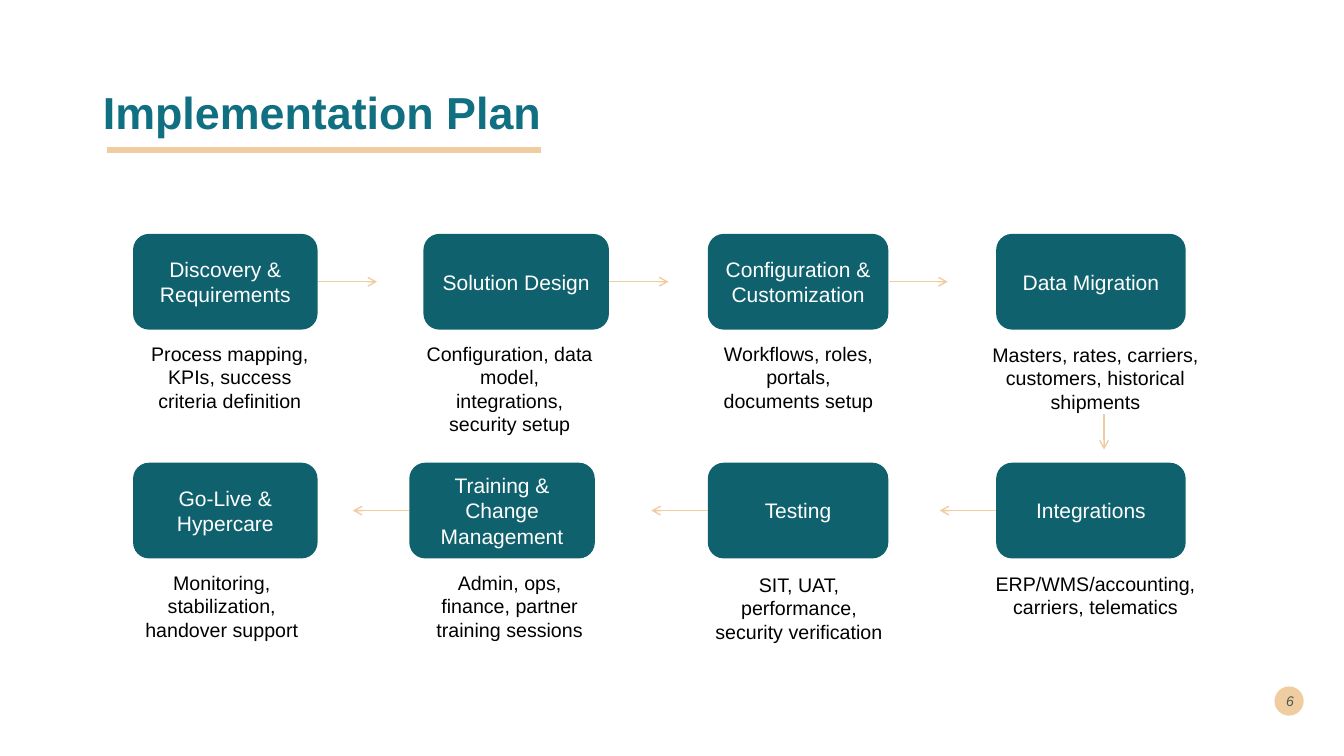
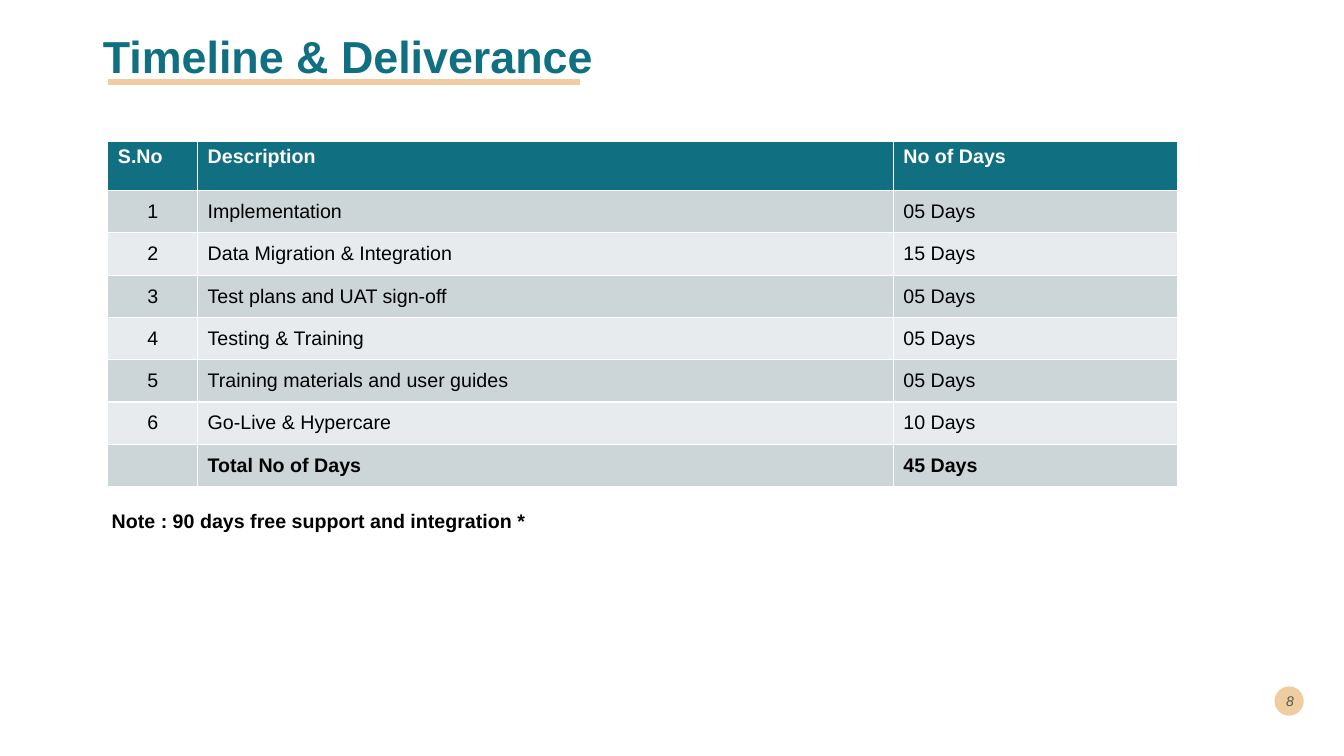
from lxml.etree import SubElement
from pptx import Presentation
from pptx.dml.color import RGBColor
from pptx.enum.shapes import MSO_CONNECTOR as Line, MSO_SHAPE as Shape
from pptx.enum.text import MSO_ANCHOR as Anchor, MSO_AUTO_SIZE as Fit, PP_ALIGN as Align
from pptx.oxml.ns import qn
from pptx.util import Inches, Pt

FONT = "Arial"
TEAL = RGBColor(0x10, 0x70, 0x82)
DEEP = RGBColor(0x0E, 0x61, 0x6D)
SAND = RGBColor(0xF0, 0xCD, 0xA1)
INK = RGBColor(0x00, 0x29, 0x2E)
WHITE = RGBColor(0xFF, 0xFF, 0xFF)
BLACK = RGBColor(0x00, 0x00, 0x00)
BANDS = (RGBColor(0xCC, 0xD5, 0xD8), RGBColor(0xE7, 0xEB, 0xED))

BOX_H = 0.95
RIGHT, LEFT = 3, 1  # connection sites
# Per row: top, side the arrows leave from, arrow length, steps.
# Per step: box left and width, name, caption left, top and width, caption.
ROWS = [
    (2.32, RIGHT, 0.59, [
        (1.32, 1.83, "Discovery & Requirements",
         1.4, 3.34, 1.76, "Process mapping, KPIs, success criteria definition"),
        (4.2, 1.84, "Solution Design",
         4.11, 3.34, 1.89, "Configuration, data model, integrations, security setup"),
        (7.02, 1.79, "Configuration & Customization",
         7.04, 3.34, 1.76, "Workflows, roles, portals, documents setup"),
        (9.88, 1.88, "Data Migration",
         9.72, 3.35, 2.29, "Masters, rates, carriers, customers, historical shipments"),
    ]),
    (4.59, LEFT, -0.56, [
        (9.88, 1.88, "Integrations",
         9.72, 5.62, 2.29, "ERP/WMS/accounting, carriers, telematics"),
        (7.02, 1.79, "Testing",
         6.94, 5.63, 1.97, "SIT, UAT, performance, security verification"),
        (4.06, 1.84, "Training & Change Management",
         4.11, 5.61, 1.89, "Admin, ops, finance, partner training sessions"),
        (1.32, 1.83, "Go-Live & Hypercare",
         1.32, 5.61, 1.76, "Monitoring, stabilization, handover support"),
    ]),
]

HEAD = ("S.No", "Description", "No of Days")
TASKS = [
    ("Implementation", 5),
    ("Data Migration & Integration", 15),
    ("Test plans and UAT sign-off", 5),
    ("Testing & Training", 5),
    ("Training materials and user guides", 5),
    ("Go-Live & Hypercare", 10),
]


def write(frame, text, size, color, bold=False, italic=False, align=Align.LEFT):
    frame.text = text
    for par in frame.paragraphs:
        par.alignment = align
        for run in par.runs:
            font = run.font
            font.name, font.size = FONT, Pt(size)
            font.bold, font.italic = bold, italic
            font.color.rgb = color


def add_text(slide, x, y, w, h, text, size, color, anchor=Anchor.TOP, **style):
    frame = slide.shapes.add_textbox(
        Inches(x), Inches(y), Inches(w), Inches(h)).text_frame
    frame.word_wrap = True
    frame.vertical_anchor = anchor
    write(frame, text, size, color, **style)
    return frame


def add_shape(slide, kind, x, y, w, h, fill):
    shape = slide.shapes.add_shape(kind, Inches(x), Inches(y), Inches(w), Inches(h))
    shape.shadow.inherit = False
    shape.fill.solid()
    shape.fill.fore_color.rgb = fill
    shape.line.fill.background()
    return shape


def add_line(slide, x1, y1, x2, y2, width=1, arrow=False):
    line = slide.shapes.add_connector(
        Line.STRAIGHT, Inches(x1), Inches(y1), Inches(x2), Inches(y2))
    line.line.color.rgb = SAND
    line.line.width = Pt(width)
    if arrow:
        SubElement(line.line._get_or_add_ln(), qn("a:tailEnd"), type="arrow")
    SubElement(line._element.spPr, qn("a:effectLst"))
    return line


def add_slide(deck, title, top, height, rule, number):
    """Add a slide with title, underline (x1, x2, y) and page badge."""
    slide = deck.slides.add_slide(deck.slide_layouts[5])
    head = slide.shapes.title
    head.left, head.top = Inches(0.92), Inches(top)
    head.width, head.height = Inches(11.5), Inches(height)
    frame = head.text_frame
    frame.auto_size = Fit.NONE
    frame.vertical_anchor = Anchor.MIDDLE
    write(frame, title, 32, TEAL, bold=True)
    frame.paragraphs[0].line_spacing = 0.9

    x1, x2, y = rule
    add_line(slide, x1, y, x2, y, 4.32)

    add_shape(slide, Shape.OVAL, 12.64, 6.81, 0.29, 0.29, SAND)
    badge = add_text(slide, 12.6, 6.75, 0.39, 0.4, str(number), 10, INK,
                     Anchor.MIDDLE, italic=True, align=Align.CENTER)
    for color in badge._txBody.iter(qn("a:srgbClr")):
        SubElement(color, qn("a:alpha"), val="70000")
    return slide


def add_step(slide, top, step):
    """Draw a step box with its caption and return the box."""
    x, w, name, cap_x, cap_y, cap_w, cap = step
    box = add_shape(slide, Shape.ROUNDED_RECTANGLE, x, top, w, BOX_H, DEEP)
    box.text_frame.word_wrap = True
    box.text_frame.vertical_anchor = Anchor.MIDDLE
    write(box.text_frame, name, 15, WHITE, align=Align.CENTER)
    add_text(slide, cap_x, cap_y, cap_w, 0.81, cap, 14, BLACK, align=Align.CENTER)
    return box


def add_plan(deck):
    slide = add_slide(deck, "Implementation Plan", 0.65, 0.98, (1.06, 5.37, 1.49), 6)
    for top, side, reach, steps in ROWS:
        mid = top + BOX_H / 2
        boxes = [add_step(slide, top, step) for step in steps]
        for box, (x, w, *_) in zip(boxes[:-1], steps):
            start = x + w if side == RIGHT else x
            arrow = add_line(slide, start, mid, start + reach, mid, arrow=True)
            arrow.begin_connect(box, side)
    add_line(slide, 10.95, 4.11, 10.95, 4.46, arrow=True)


def add_times(deck):
    slide = add_slide(deck, "Timeline & Deliverance", -0.05, 1.28, (1.07, 5.75, 0.81), 8)
    total = sum(days for _, days in TASKS)
    rows = [HEAD]
    rows += [(str(i), task, f"{days:02} Days") for i, (task, days) in enumerate(TASKS, 1)]
    rows.append(("", "Total No of Days", f"{total} Days"))

    table = slide.shapes.add_table(
        len(rows), len(HEAD), Inches(1.07), Inches(1.4), Inches(10.61), Inches(3.43)).table
    for col, width in zip(table.columns, (0.89, 6.9, 2.82)):
        col.width = Inches(width)
    for r, texts in enumerate(rows):
        head = r == 0
        table.rows[r].height = Inches(0.49 if head else 0.42)
        for c, text in enumerate(texts):
            cell = table.cell(r, c)
            cell.fill.solid()
            cell.fill.fore_color.rgb = TEAL if head else BANDS[(r - 1) % 2]
            cell.vertical_anchor = Anchor.TOP if head else Anchor.MIDDLE
            write(cell.text_frame, text, 14, WHITE if head else BLACK,
                  bold=head or r == len(rows) - 1,
                  align=Align.LEFT if head or c else Align.CENTER)

    add_text(slide, 1.01, 5, 6.09, 0.34,
             "Note : 90 days free support and integration *", 14, BLACK, bold=True)


def main():
    deck = Presentation()
    deck.slide_width, deck.slide_height = Inches(13.33), Inches(7.5)
    add_plan(deck)
    add_times(deck)
    deck.save("out.pptx")


if __name__ == "__main__":
    main()
